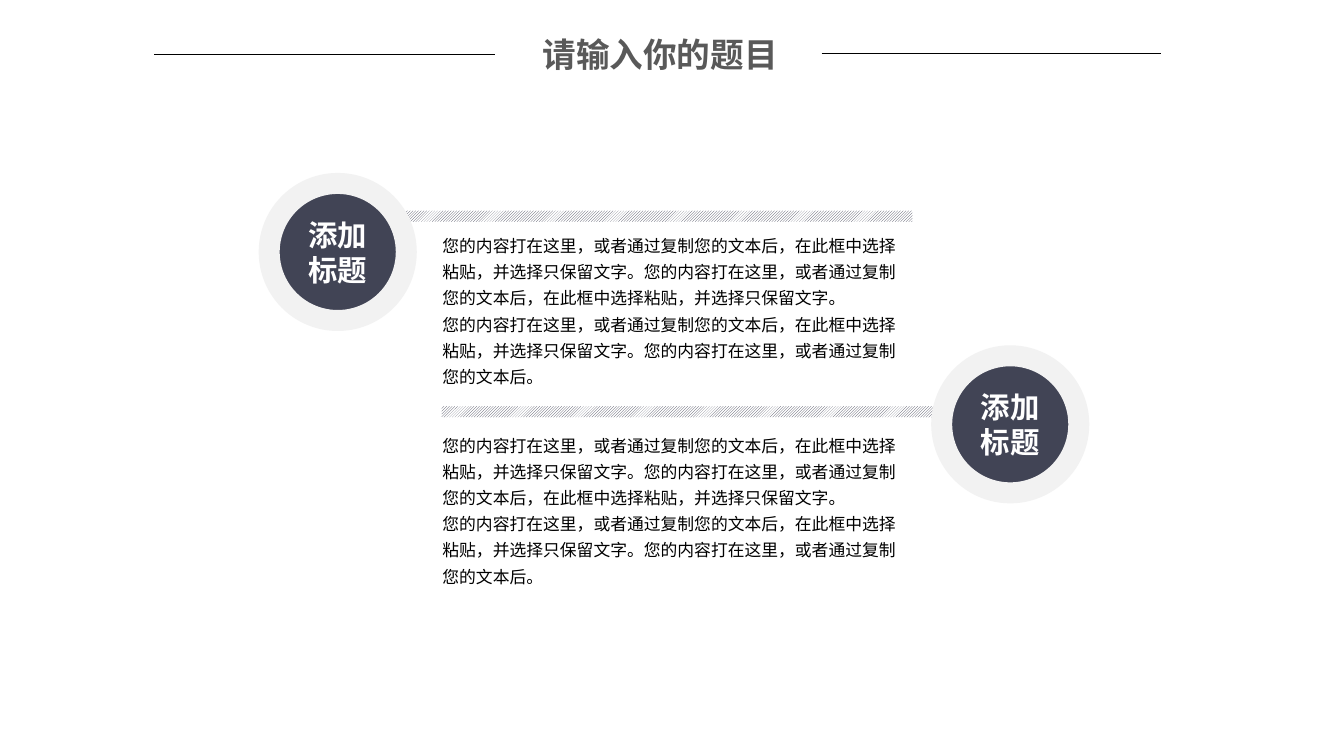
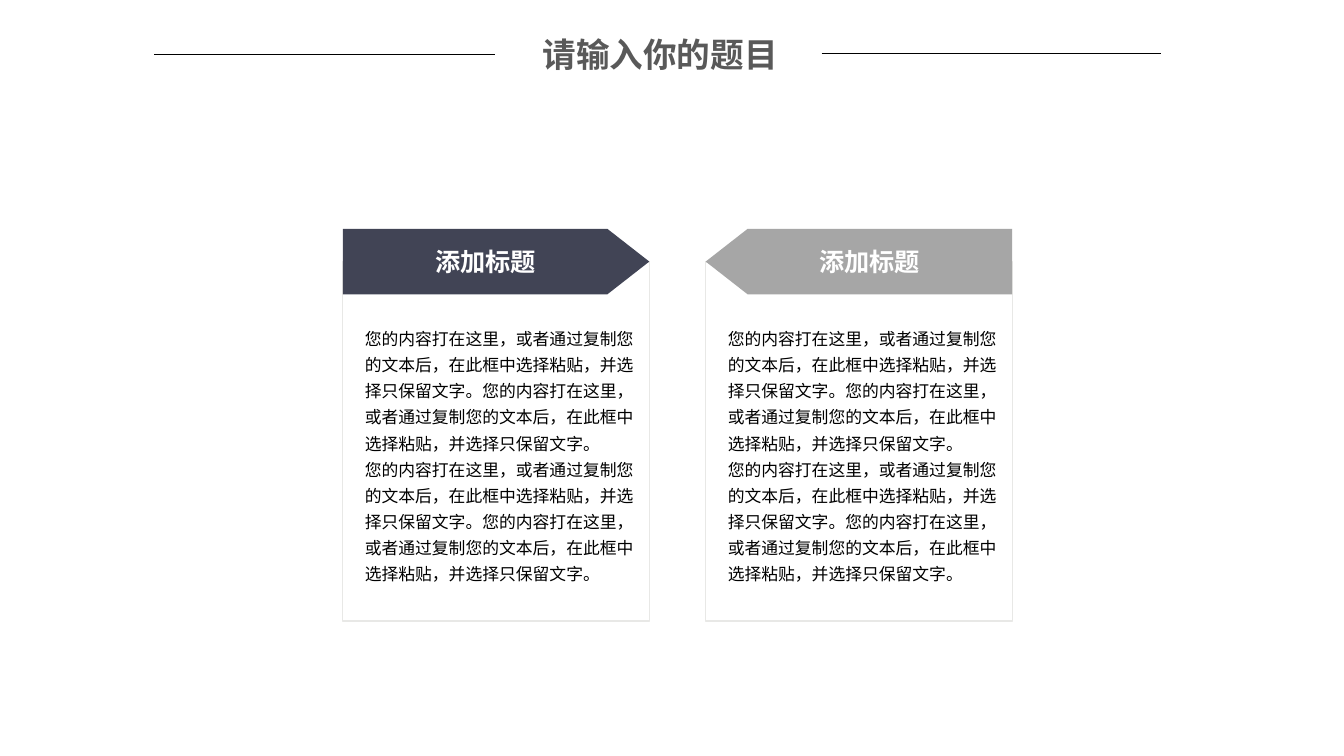
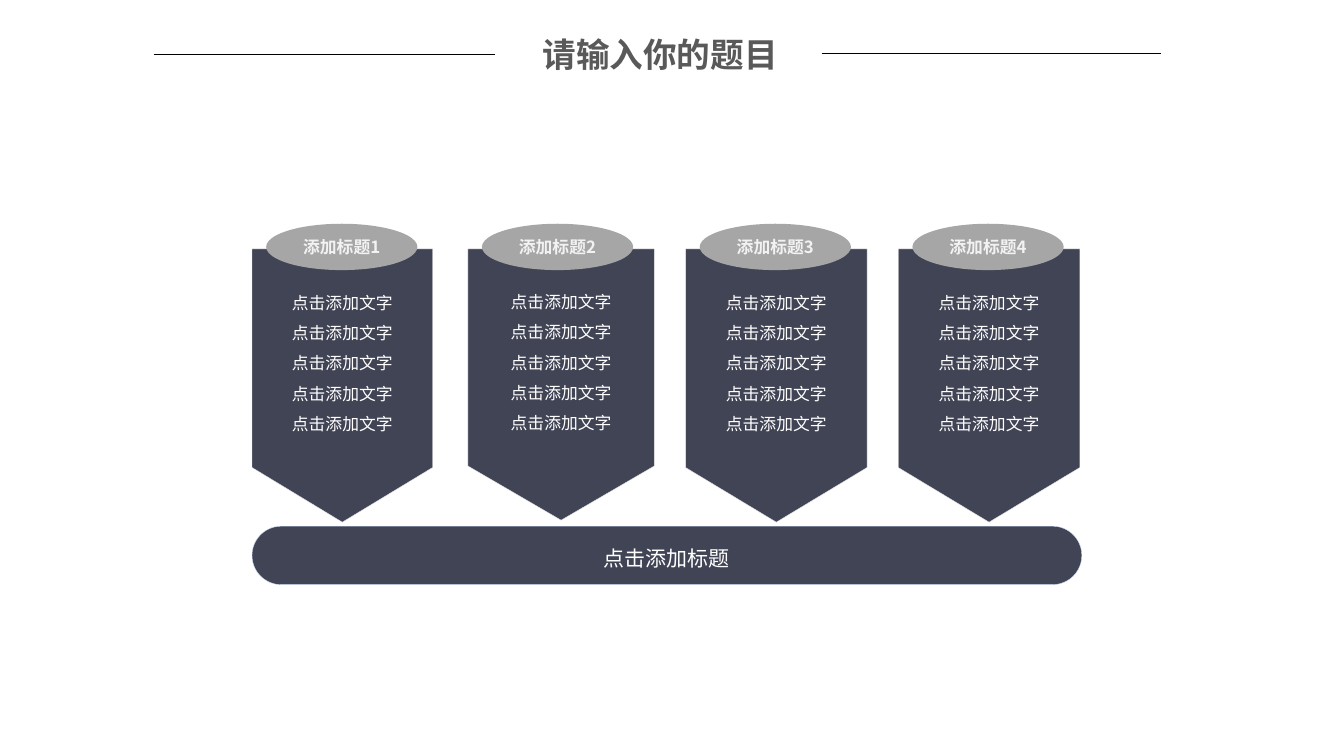
from pptx import Presentation
from pptx.dml.color import RGBColor
from pptx.enum.dml import MSO_PATTERN
from pptx.enum.shapes import MSO_CONNECTOR, MSO_SHAPE
from pptx.enum.text import MSO_ANCHOR, MSO_AUTO_SIZE, PP_ALIGN
from pptx.oxml.ns import qn
from pptx.util import Inches, Pt
from lxml.etree import SubElement

FONT = "Noto Sans CJK SC"
NAVY, GRAY, WHITE, BLACK = "414455", "A6A6A6", "FFFFFF", "000000"
PALE, TITLE = "F2F2F2", "595959"
color = RGBColor.from_string

FULL = "您的内容打在这里，或者通过复制您的文本后，在此框中选择粘贴，并选择只保留文字。"
SHORT = "您的内容打在这里，或者通过复制您的文本后。"


def draw(slide, kind, box, fill, line=None, weight=0.25):
    shape = slide.shapes.add_shape(kind, *map(Inches, box))
    shape.shadow.inherit = False
    shape.fill.solid()
    shape.fill.fore_color.rgb = color(fill)
    if line:
        shape.line.color.rgb = color(line)
        shape.line.width = Pt(weight)
    else:
        shape.line.fill.background()
    return shape


def write(shape, text, size, hue, bold=False, align=PP_ALIGN.CENTER,
          anchor=MSO_ANCHOR.MIDDLE, space=1.0):
    frame = shape.text_frame
    frame.text = text
    frame.word_wrap = True
    frame.auto_size = MSO_AUTO_SIZE.NONE
    frame.vertical_anchor = anchor
    for para in frame.paragraphs:
        para.alignment = align
        para.line_spacing = space
        for run in para.runs:
            run.font.size = Pt(size)
            run.font.bold = bold
            run.font.color.rgb = color(hue)
            run.font.name = FONT
            SubElement(run.font._element, qn("a:ea"), typeface=FONT)


deck = Presentation()
deck.slide_width, deck.slide_height = Inches(13.33), Inches(7.5)

# Shared heading: title between two thin rules
for _ in range(3):
    slide = deck.slides.add_slide(deck.slide_layouts[5])
    for left, right, y in ((1.53, 4.91, 0.54), (8.15, 11.52, 0.53)):
        rule = slide.shapes.add_connector(
            MSO_CONNECTOR.STRAIGHT, *map(Inches, (left, y, right, y)))
        rule.line.color.rgb = color(BLACK)
        rule.line.width = Pt(0.5)
        SubElement(rule._element.spPr, qn("a:effectLst"))
    title = slide.shapes.title
    title.left, title.top, title.width, title.height = map(
        Inches, (5.28, 0.29, 2.84, 0.5))
    write(title, "请输入你的题目", 24, TITLE, True, PP_ALIGN.LEFT)

rings, cards, flags = deck.slides

# Slide 1: hatched bars, ringed circles and text
for bar_x, bar_y, ring_x, ring_y, text_y in (
        (3.91, 2.09, 2.67, 1.82, 2.23), (4.38, 4.03, 9.34, 3.53, 4.21)):
    bar = draw(rings, MSO_SHAPE.RECTANGLE, (bar_x, bar_y, 5.14, 0.11), WHITE)
    bar.fill.patterned()
    bar.fill.pattern = MSO_PATTERN.LIGHT_UPWARD_DIAGONAL
    bar.fill.fore_color.rgb = color(NAVY)
    bar.fill.back_color.rgb = color(WHITE)
    ring = draw(rings, MSO_SHAPE.OVAL, (ring_x, ring_y, 1.36, 1.36), NAVY, PALE, 15)
    write(ring, "添加标题", 21, WHITE, True)
    note = rings.shapes.add_textbox(*map(Inches, (4.29, text_y, 4.84, 1.68)))
    write(note, FULL * 2 + "\n" + FULL + SHORT, 12, BLACK,
          align=PP_ALIGN.LEFT, anchor=MSO_ANCHOR.TOP, space=1.3)

# Slide 2: two cards with arrow headers facing each other
for left, fill, flip in ((3.4, NAVY, False), (7, GRAY, True)):
    draw(cards, MSO_SHAPE.RECTANGLE, (left, 2.6, 3.04, 3.56), WHITE, "E8E8E6", 1)
    head = draw(cards, MSO_SHAPE.PENTAGON, (left, 2.27, 3.04, 0.65), fill)
    head.adjustments[0] = 0.64
    if flip:
        head._element.spPr.find(qn("a:xfrm")).set("flipH", "1")
    write(head, "添加标题", 18, WHITE, True)
    note = cards.shapes.add_textbox(*map(Inches, (left + 0.12, 3.15, 2.92, 2.73)))
    write(note, "\n".join([FULL * 2] * 2), 12, BLACK,
          align=PP_ALIGN.LEFT, anchor=MSO_ANCHOR.TOP, space=1.3)

# Slide 3: four flags with oval labels
columns = ((2.5, 1.79, 2.71), (4.64, 1.85, 2.69), (6.8, 1.8, 2.71), (8.91, 1.8, 2.71))
for num, (left, width, height) in enumerate(columns, 1):
    flag = draw(flags, MSO_SHAPE.FLOWCHART_OFFPAGE_CONNECTOR,
                (left, 2.47, width, height), NAVY, "EAEAEA")
    write(flag, "\n".join(["点击添加文字"] * 5), 12, WHITE, space=1.5)
    label = draw(flags, MSO_SHAPE.OVAL, (left + 0.14, 2.22, 1.5, 0.46), GRAY)
    write(label, f"添加标题{num}", 12, PALE, True)

# Slide 3: base bar
base = draw(flags, MSO_SHAPE.ROUNDED_RECTANGLE, (2.5, 5.22, 8.23, 0.58), NAVY, "D4E4FF")
base.adjustments[0] = 0.5
base.text_frame.margin_left = base.text_frame.margin_right = 0
write(base, "点击添加标题", 15, WHITE, space=1.2)

deck.save("out.pptx")
